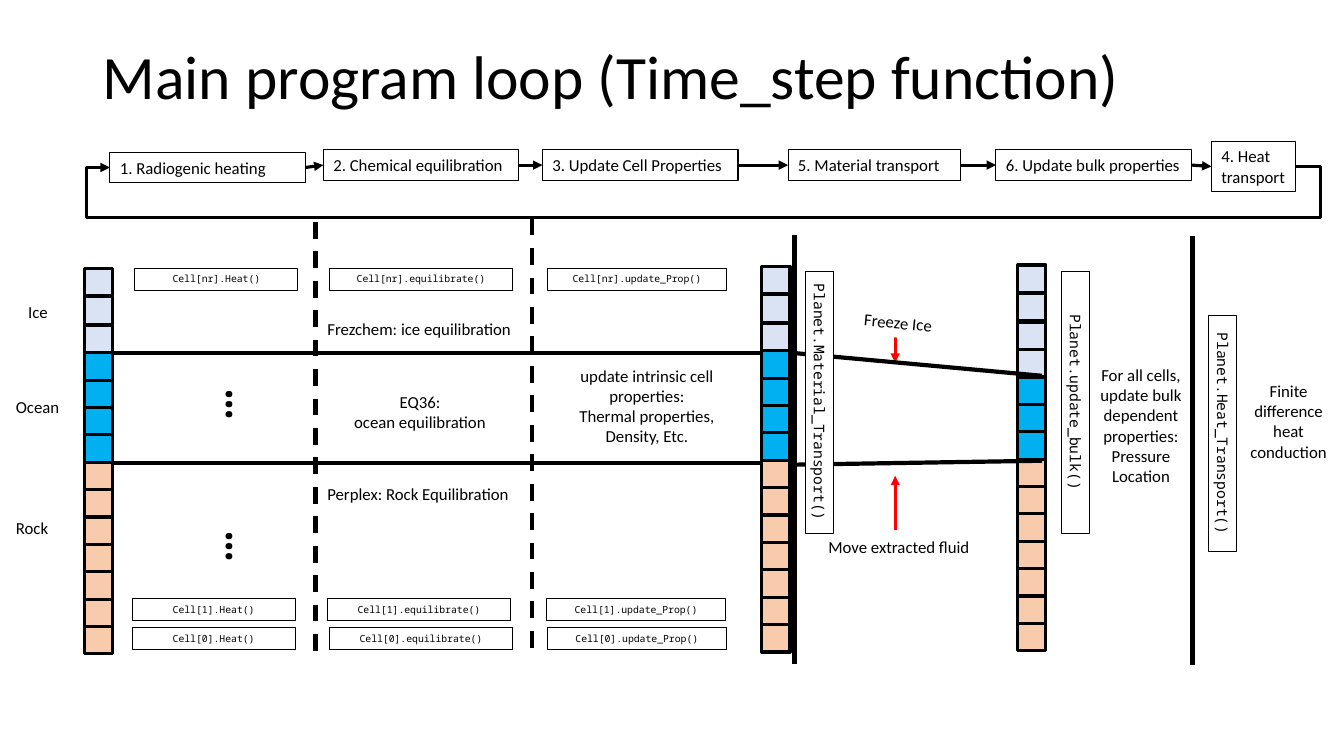
"""Build the slide that explains the main program loop of the planet model."""
from lxml.etree import SubElement
from pptx import Presentation
from pptx.dml.color import RGBColor
from pptx.enum.dml import MSO_LINE
from pptx.enum.shapes import MSO_CONNECTOR, MSO_SHAPE
from pptx.enum.text import MSO_ANCHOR, MSO_AUTO_SIZE, PP_ALIGN
from pptx.oxml.ns import qn
from pptx.util import Cm, Pt

COLORS = {"black": "000000", "white": "FFFFFF", "red": "FF0000",
          "ice": "DAE3F3", "ocean": "00B0F0", "rock": "F8CBAD"}
SANS, MONO = "Calibri", "Noto Sans Mono"

TITLE = "Main program loop (Time_step function)"
STEPS = [
    ("1. Radiogenic heating", 2.77, 3.84, 4.93, 0.76),
    ("2. Chemical equilibration", 8.15, 3.78, 4.93, 0.76),
    ("3. Update Cell Properties", 13.67, 3.78, 4.93, 0.76),
    ("5. Material transport", 19.86, 3.78, 4.34, 0.76),
    ("6. Update bulk properties", 25.1, 3.78, 4.93, 0.76),
    ("4. Heat transport", 30.53, 3.56, 2.13, 1.27),
]
LOOP_RIGHT, LOOP_BOTTOM, LOOP_LEFT = 33.3, 5.49, 2.16

COLUMNS = [
    (2.13, 6.76, {"ice": 3, "ocean": 4, "rock": 7}),
    (19.2, 6.71, {"ice": 3, "ocean": 4, "rock": 7}),
    (25.65, 6.68, {"ice": 4, "ocean": 3, "rock": 7}),
]
CELL_W, CELL_H = 0.71, 0.69
TOP_PITCH, PITCH = 0.72, 0.69

CALL_ROWS = [("nr", 6.76), ("1", 15.08), ("0", 15.82)]
CALLS = [
    ("Heat", 4.11, (3.4, 3.33, 3.33)),
    ("equilibrate", 4.6, (8.31, 8.26, 8.31)),
    ("update_Prop", 4.52, (13.79, 13.77, 13.79)),
]
BARS = [
    ("Planet.Material_Transport()", 17.35, 9.78, 6.6),
    ("Planet.update_bulk()", 23.8, 9.78, 6.6),
    ("Planet.Heat_Transport()", 27.84, 10.57, 5.94),
]

LEFT_LABELS = [
    ("Ice", 0.46, 7.47, 1.35, 0.76),
    ("Ocean", 0.15, 9.86, 1.65, 0.76),
    ("Rock", 0.15, 12.93, 1.65, 0.76),
    ("Perplex: Rock Equilibration", 8, 12.07, 6.22, 0.76),
    ("Frezchem: ice equilibration", 8, 7.9, 5.41, 0.76),
]
CENTER_LABELS = [
    ("Move extracted fluid", 20.19, 13.41, 4.93, 0.76, {}),
    ("update intrinsic cell properties:\nThermal properties, Density, Etc.",
     13.84, 9.09, 4.93, 2.31, {}),
    ("EQ36:\nocean equilibration", 6.99, 9.75, 7.19, 1.27, {}),
    ("Freeze Ice", 20.17, 7.75, 4.93, 0.76, {"fill": "white", "rot": 5.6}),
    ("…", 3.73, 12.88, 4.93, 1.8, {"size": 36, "font": MONO, "rot": 90}),
    ("…", 3.73, 9.3, 4.93, 1.8, {"size": 36, "font": MONO, "rot": 90}),
    ("For all cells, update bulk dependent properties:\nPressure\nLocation",
     27.23, 9.07, 3.05, 3.84, {}),
    ("Finite\ndifference\nheat\nconduction", 31.09, 9.47, 2.77, 2.31, {}),
]

LAYER_LINES = [(2.84, 8.89, 20.02, 8.89), (2.84, 11.66, 20.02, 11.66)]
SHIFT_LINES = [(19.94, 8.89, 26.26, 9.47), (19.96, 11.71, 26.26, 11.61)]
STAGE_LINES = [(20.02, 5.92, 20.02, 16.74), (30.05, 5.94, 30.05, 16.76)]
DASHED_LINES = [(7.95, 5.59, 7.95, 16.41), (13.41, 5.51, 13.41, 16.33)]
RED_ARROWS = [(22.56, 13.36, 22.56, 11.99), (22.56, 8.18, 22.56, 9.14)]


def rgb(name):
    return RGBColor.from_string(COLORS[name])


def box(text, x, y, w, h, *, fill=None, line=None, size=12, font=SANS,
        align=PP_ALIGN.LEFT, rot=0, anchor=MSO_ANCHOR.TOP, spacing=None, fit=True):
    pos = Cm(x), Cm(y), Cm(w), Cm(h)
    if fill or line:
        sp = s.shapes.add_shape(MSO_SHAPE.RECTANGLE, *pos)
        sp.shadow.inherit = False
    else:
        sp = s.shapes.add_textbox(*pos)
    if fill:
        sp.fill.solid()
        sp.fill.fore_color.rgb = rgb(fill)
    else:
        sp.fill.background()
    if line:
        sp.line.color.rgb = rgb("black")
        sp.line.width = Pt(line)
    else:
        sp.line.fill.background()
    sp.rotation = rot
    if text:
        tf = sp.text_frame
        tf.word_wrap = True
        tf.auto_size = MSO_AUTO_SIZE.SHAPE_TO_FIT_TEXT if fit else MSO_AUTO_SIZE.NONE
        tf.vertical_anchor = anchor
        tf.text = text
        for p in tf.paragraphs:
            p.alignment = align
            p.line_spacing = spacing
            p.font.size = Pt(size)
            p.font.name = font
            p.font.color.rgb = rgb("black")
    return sp


def connect(x1=0, y1=0, x2=0, y2=0, *, kind=MSO_CONNECTOR.STRAIGHT, width=3,
            color="black", dash=None, arrow=False, join=None):
    c = s.shapes.add_connector(kind, Cm(x1), Cm(y1), Cm(x2), Cm(y2))
    if join:
        c.begin_connect(join[0], 3)
        c.end_connect(join[1], 1)
    c.line.color.rgb = rgb(color)
    c.line.width = Pt(width)
    if dash:
        c.line.dash_style = dash
    if arrow:
        SubElement(c.line._get_or_add_ln(), qn("a:tailEnd"), type="triangle")
    SubElement(c._element.spPr, qn("a:effectLst"))
    return c


def loop_back(last, first):
    c = connect(kind=MSO_CONNECTOR.ELBOW, width=2.25, arrow=True, join=(last, first))
    dx, dy = c.end_x - c.begin_x, c.end_y - c.begin_y
    bends = [(Cm(LOOP_RIGHT) - c.begin_x) / dx,
             (Cm(LOOP_BOTTOM) - c.begin_y) / dy,
             (Cm(LOOP_LEFT) - c.begin_x) / dx]
    geom = c._element.spPr.find(qn("a:prstGeom"))
    geom.set("prst", "bentConnector5")
    guides = geom.find(qn("a:avLst"))
    for i, bend in enumerate(bends, 1):
        SubElement(guides, qn("a:gd"), name=f"adj{i}", fmla=f"val {round(bend * 100000)}")


prs = Presentation()
prs.slide_width, prs.slide_height = Cm(33.87), Cm(19.05)
s = prs.slides.add_slide(prs.slide_layouts[6])

box(TITLE, 2.34, 1.02, 29.21, 1.9, size=44, anchor=MSO_ANCHOR.BOTTOM, spacing=0.8, fit=False)

steps = [box(*step, line=0.75) for step in STEPS]
for pair in zip(steps, steps[1:]):
    connect(width=2.25, arrow=True, join=pair)
loop_back(steps[-1], steps[0])

for ends in RED_ARROWS:
    connect(*ends, width=2.25, color="red", arrow=True)
for label in LEFT_LABELS:
    box(*label)
for *label, style in CENTER_LABELS:
    box(*label, align=PP_ALIGN.CENTER, **style)

for ends in LAYER_LINES + STAGE_LINES:
    connect(*ends)
for x, top, layers in COLUMNS:
    cells = [layer for layer, count in layers.items() for _ in range(count)]
    for i, layer in enumerate(cells):
        y = top + min(i, 2) * TOP_PITCH + max(i - 2, 0) * PITCH
        box("", x, y, CELL_W, CELL_H, fill=layer, line=2.25)
for ends in SHIFT_LINES:
    connect(*ends)
for ends in DASHED_LINES:
    connect(*ends, dash=MSO_LINE.DASH)

code = {"fill": "white", "line": 0.75, "font": MONO, "align": PP_ALIGN.CENTER}
for method, w, lefts in CALLS:
    for (index, y), x in zip(CALL_ROWS, lefts):
        box(f"Cell[{index}].{method}()", x, y, w, 0.56, size=7, **code)
for text, x, y, w in BARS:
    box(text, x, y, w, 0.71, size=10.5, rot=90, **code)

prs.save("out.pptx")
